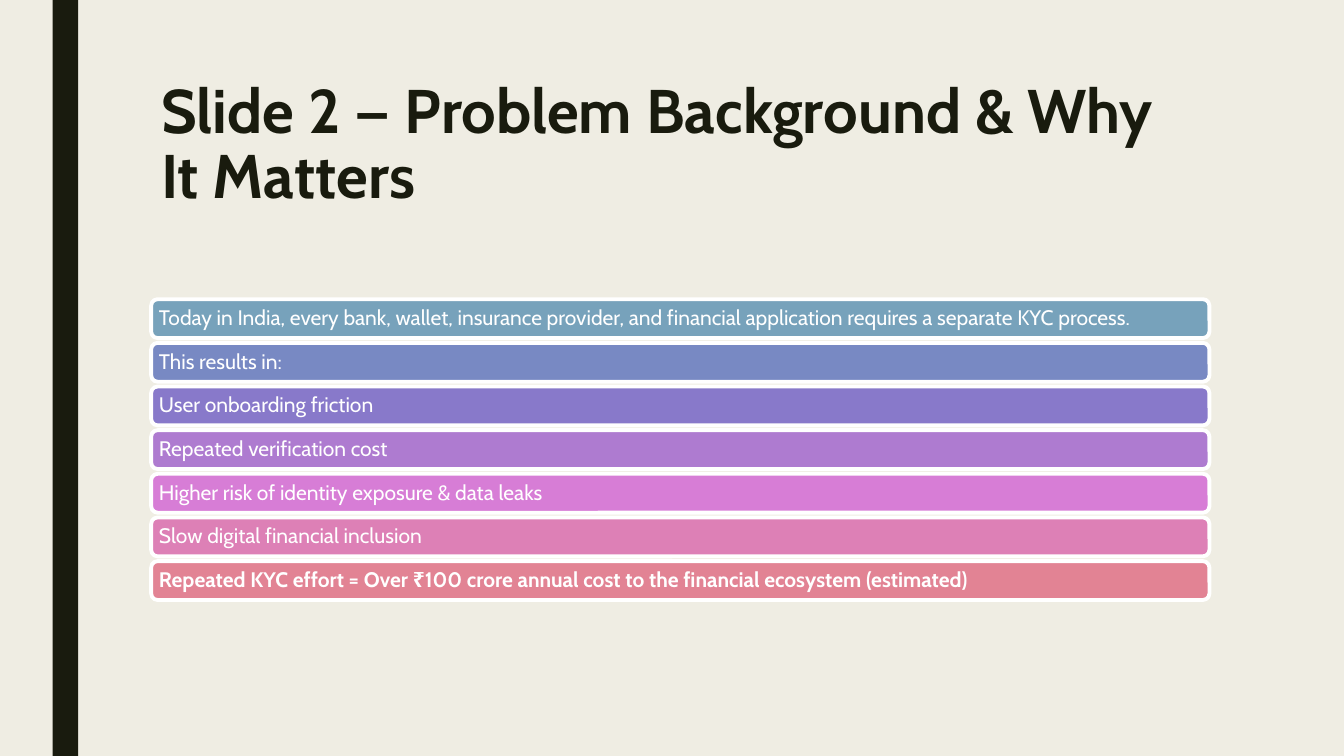
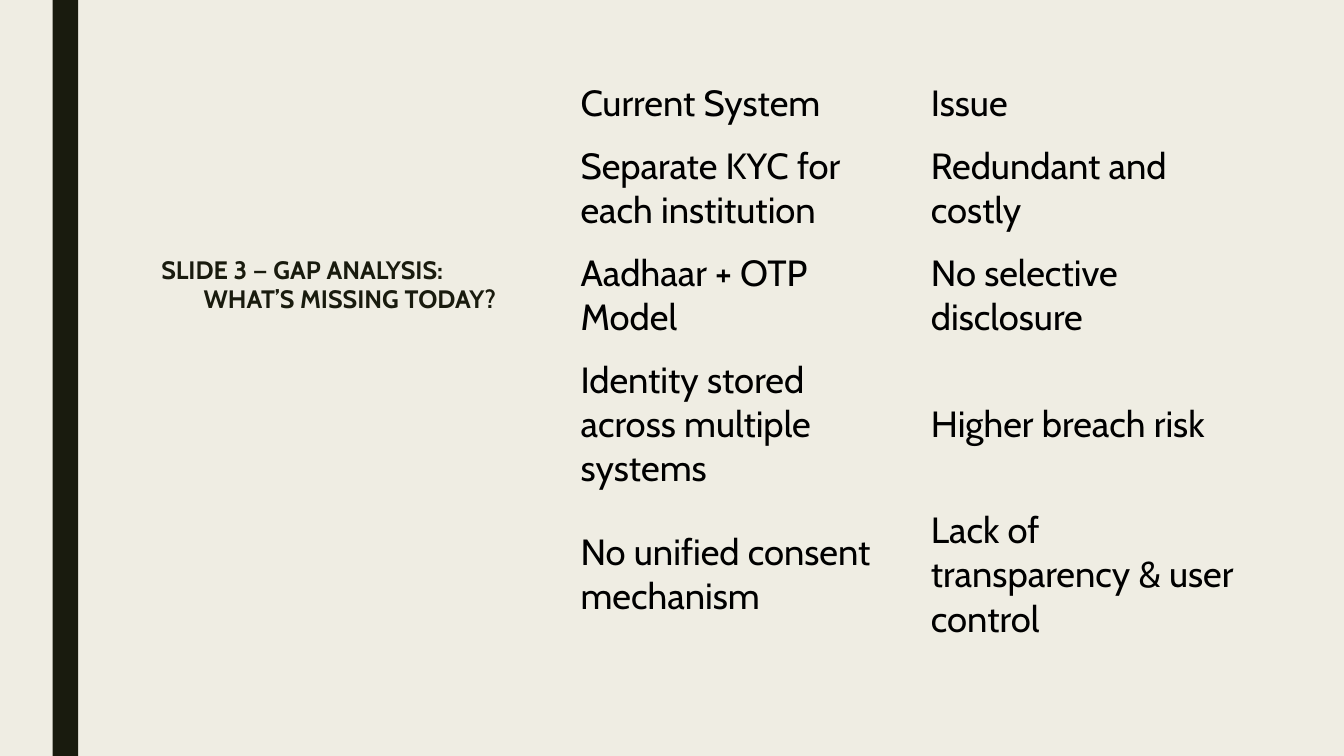
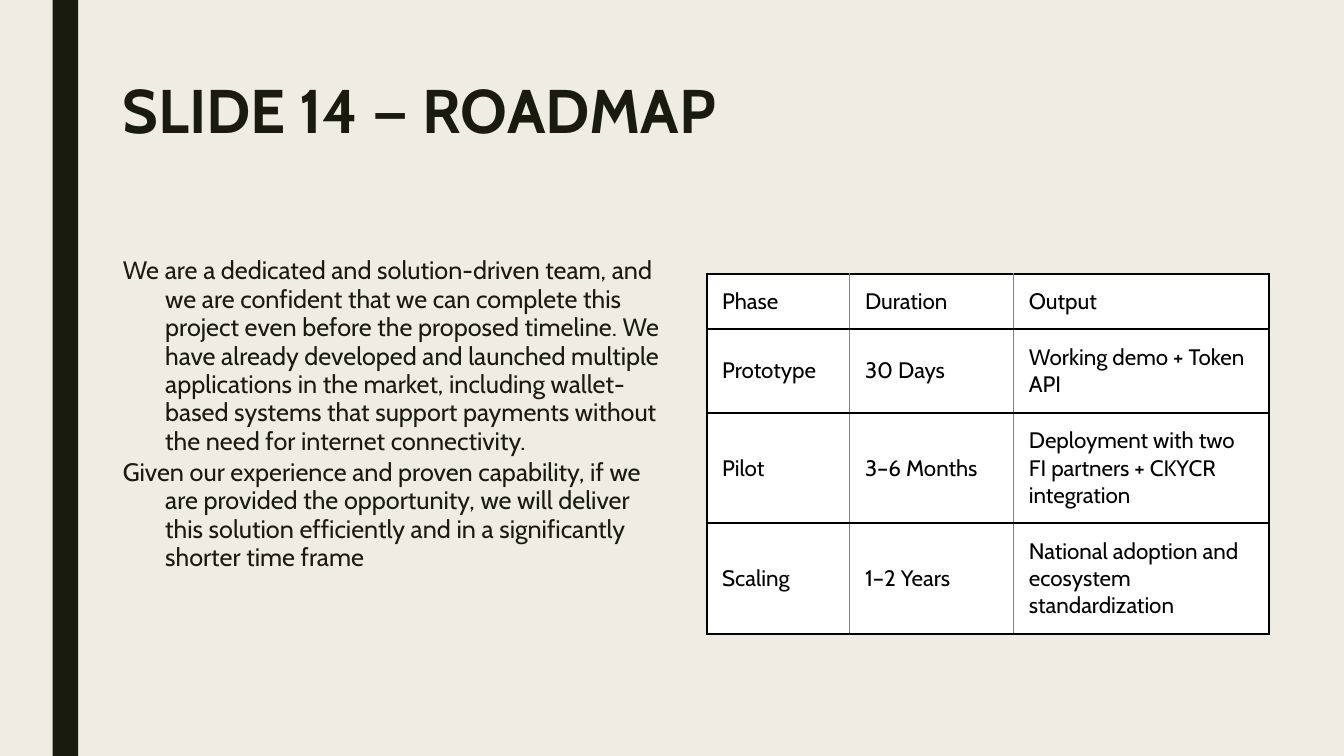
from lxml import etree
from pptx import Presentation
from pptx import util as u
from pptx.dml.color import RGBColor
from pptx.enum import shapes, text
from pptx.oxml.ns import qn

NO_STYLE_NO_GRID = "{2D5ABB26-0587-4C30-8999-92F81FD0307C}"
HANGING = 1.07


def color(value):
    return RGBColor.from_string(value)


class Deck:
    FONT = "Cabin"
    PAPER, INK, WHITE, BLACK, GREY = "EFEDE3", "191B0E", "FFFFFF", "000000", "808080"
    TITLE_ONLY, TITLE_AND_BODY = 5, 1

    def __init__(self):
        self.prs = Presentation()
        self.prs.slide_width, self.prs.slide_height = u.Cm(33.87), u.Cm(19.05)
        self.slide = None
        backdrop = self.prs.slide_master.background.fill
        backdrop.solid()
        backdrop.fore_color.rgb = color(self.PAPER)

    def new_slide(self, layout=TITLE_ONLY):
        self.slide = self.prs.slides.add_slide(self.prs.slide_layouts[layout])
        self.box(shapes.MSO_SHAPE.RECTANGLE, (1.33, 0, 0.64, 19.05), self.INK)

    def box(self, kind, place, fill):
        """Add a flat shape without outline; place is left, top, width, height."""
        shape = self.slide.shapes.add_shape(kind, *map(u.Cm, place))
        shape.shadow.inherit = False
        shape.fill.solid()
        shape.fill.fore_color.rgb = color(fill)
        shape.line.fill.background()
        return shape

    def style(self, paragraph, size, ink, bold=False, spacing=1.0):
        paragraph.alignment = text.PP_ALIGN.LEFT
        paragraph.line_spacing = spacing
        for run in paragraph.runs:
            run.font.name = self.FONT
            run.font.size = u.Pt(size)
            run.font.bold = bold
            run.font.color.rgb = color(ink)

    def fill_placeholder(self, holder, place, lines, size, bold, spacing, hanging):
        holder.left, holder.top, holder.width, holder.height = map(u.Cm, place)
        frame = holder.text_frame
        frame.text = "\n".join(lines)
        frame.word_wrap = True
        frame.auto_size = text.MSO_AUTO_SIZE.NONE
        frame.vertical_anchor = text.MSO_ANCHOR.TOP
        for paragraph in frame.paragraphs:
            props = paragraph._p.get_or_add_pPr()
            props.set("marL", str(u.Cm(hanging)))
            props.set("indent", str(-u.Cm(hanging)))
            etree.SubElement(props, qn("a:buNone"))
            paragraph.space_before = u.Pt(0)
            paragraph.space_after = u.Pt(2)
            self.style(paragraph, size, self.INK, bold, spacing)

    def title(self, words, place, size=44, spacing=0.89, hanging=0):
        self.fill_placeholder(self.slide.shapes.title, place, [words], size, True, spacing, hanging)

    def body(self, lines, place):
        self.fill_placeholder(self.slide.placeholders[1], place, lines, 18, False, 0.94, HANGING)

    def bar(self, words, place, fill, bold=False):
        bar = self.box(shapes.MSO_SHAPE.ROUNDED_RECTANGLE, place, fill)
        bar.line.color.rgb = color(self.WHITE)
        bar.line.width = u.Pt(2.75)
        frame = bar.text_frame
        frame.text = words
        frame.word_wrap = True
        frame.vertical_anchor = text.MSO_ANCHOR.MIDDLE
        frame.margin_left = frame.margin_right = u.Cm(0.15)
        frame.margin_top = frame.margin_bottom = u.Cm(0.15)
        self.style(frame.paragraphs[0], 15, self.WHITE, bold, 0.9)

    def table(self, rows, corner, widths, heights, size, margins, ruled=False):
        frame = self.slide.shapes.add_table(
            len(rows), len(widths), *map(u.Cm, (*corner, sum(widths), sum(heights))))
        for style_id in frame.element.iter(qn("a:tableStyleId")):
            style_id.text = NO_STYLE_NO_GRID
        table = frame.table
        table.first_row = table.horz_banding = False
        for column, width in zip(table.columns, widths):
            column.width = u.Cm(width)
        for row, height, words in zip(table.rows, heights, rows):
            row.height = u.Cm(height)
            for i, (cell, word) in enumerate(zip(row.cells, words)):
                cell.text = word
                cell.vertical_anchor = text.MSO_ANCHOR.MIDDLE
                cell.margin_left = cell.margin_right = u.Cm(margins[0])
                cell.margin_top = cell.margin_bottom = u.Cm(margins[1])
                self.style(cell.text_frame.paragraphs[0], size, self.BLACK)
                if ruled:
                    cell.fill.solid()
                    cell.fill.fore_color.rgb = color(self.WHITE)
                    self.rule_cell(cell, i == 0, i == len(widths) - 1)
                else:
                    cell.fill.background()

    def rule_cell(self, cell, first, last):
        """Heavy black frame and row rules, thin grey column rules."""
        heavy, thin = (self.BLACK, 1.5), (self.GREY, 0.5)
        edges = {"lnL": heavy if first else thin, "lnR": heavy if last else thin,
                 "lnT": heavy, "lnB": heavy}
        props = cell._tc.get_or_add_tcPr()
        for i, (edge, (ink, points)) in enumerate(edges.items()):
            line = etree.Element(qn("a:" + edge), w=str(u.Pt(points)))
            fill = etree.SubElement(line, qn("a:solidFill"))
            etree.SubElement(fill, qn("a:srgbClr"), val=ink)
            props.insert(i, line)


def main():
    deck = Deck()

    # Problem background: a stack of coloured bars
    deck.new_slide()
    deck.title("Slide 2 — Problem Background & Why It Matters", (3.81, 1.9, 26.67, 4.11))
    problems = [
        ("Today in India, every bank, wallet, insurance provider, and financial application "
         "requires a separate KYC process.", "77A2BB"),
        ("This results in:", "7889C3"),
        ("User onboarding friction", "8879CA"),
        ("Repeated verification cost", "AE7BD0"),
        ("Higher risk of identity exposure & data leaks", "D77DD6"),
        ("Slow digital financial inclusion", "DD80B6"),
        ("Repeated KYC effort = Over ₹100 crore annual cost to the financial ecosystem "
         "(estimated)", "E28394"),
    ]
    for i, (problem, fill) in enumerate(problems):
        deck.bar(problem, (3.81, 7.54 + 1.1 * i, 26.67, 0.98), fill,
                 bold=i == len(problems) - 1)

    # Gap analysis: plain two-column table
    deck.new_slide()
    deck.title("SLIDE 3 — GAP ANALYSIS: WHAT’S MISSING TODAY?", (3.81, 6.35, 9.12, 9.96),
               size=18, spacing=0.94, hanging=HANGING)
    gaps = [
        ("Current System", "Issue"),
        ("Separate KYC for each institution", "Redundant and costly"),
        ("Aadhaar + OTP Model", "No selective disclosure"),
        ("Identity stored across multiple systems", "Higher breach risk"),
        ("No unified consent mechanism", "Lack of transparency & user control"),
    ]
    deck.table(gaps, (14.27, 1.8), (8.83, 8.68), (1.6, 2.7, 2.7, 3.79, 3.79),
               size=26, margins=(0.36, 0.18))

    # Roadmap: statement beside a ruled table
    deck.new_slide(Deck.TITLE_AND_BODY)
    deck.title("SLIDE 14 — ROADMAP", (2.84, 1.9, 29.16, 4.11), hanging=HANGING)
    deck.body([
        "We are a dedicated and solution-driven team, and we are confident that we can complete "
        "this project even before the proposed timeline. We have already developed and launched "
        "multiple applications in the market, including wallet-based systems that support "
        "payments without the need for internet connectivity.",
        "Given our experience and proven capability, if we are provided the opportunity, we will "
        "deliver this solution efficiently and in a significantly shorter time frame",
    ], (2.84, 6.35, 14.1, 9.96))
    phases = [
        ("Phase", "Duration", "Output"),
        ("Prototype", "30 Days", "Working demo + Token API"),
        ("Pilot", "3–6 Months", "Deployment with two FI partners + CKYCR integration"),
        ("Scaling", "1–2 Years", "National adoption and ecosystem standardization"),
    ]
    deck.table(phases, (17.81, 6.9), (3.6, 4.13, 6.45), (1.4, 2.1, 2.79, 2.79),
               size=16, margins=(0.39, 0.3), ruled=True)

    deck.prs.save("out.pptx")


if __name__ == "__main__":
    main()
